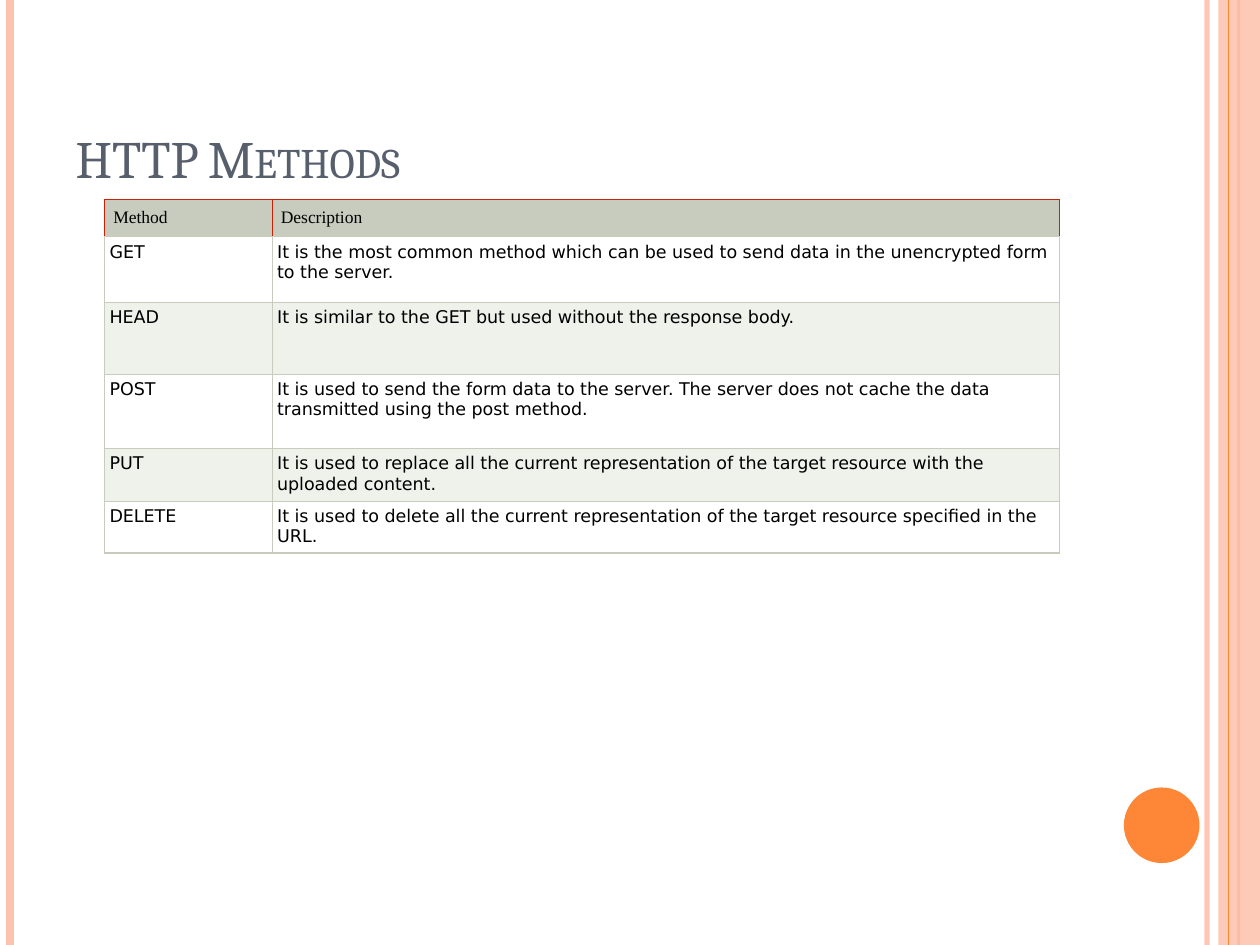
from dataclasses import dataclass

from lxml import etree
from pptx import Presentation
from pptx.dml.color import RGBColor
from pptx.enum.shapes import MSO_CONNECTOR, MSO_SHAPE
from pptx.enum.text import MSO_ANCHOR, MSO_AUTO_SIZE, PP_ALIGN
from pptx.oxml.ns import qn
from pptx.util import Inches, Pt

STRAIGHT = MSO_CONNECTOR.STRAIGHT
RECTANGLE, OVAL = MSO_SHAPE.RECTANGLE, MSO_SHAPE.OVAL
BOTTOM, TOP, LEFT = MSO_ANCHOR.BOTTOM, MSO_ANCHOR.TOP, PP_ALIGN.LEFT
NO_FIT = MSO_AUTO_SIZE.NONE
TITLE_ONLY = 5


@dataclass(frozen=True)
class Theme:
    peach: str = "FEC3AE"
    orange: str = "FE8637"
    slate: str = "575F6D"
    black: str = "000000"
    white: str = "FFFFFF"
    sage: str = "C7CCBE"
    pale_sage: str = "EFF1EB"
    red: str = "D02003"
    title_font: str = "Cambria"
    header_font: str = "Times New Roman"
    body_font: str = "DejaVu Sans"
    title_size: int = 30
    table_size: int = 10


THEME = Theme()
WIDTH, HEIGHT = 10, 7.5
COLUMNS = [1.33, 6.25]
ROWS = [0.3, 0.52, 0.57, 0.59, 0.42, 0.41]
METHODS = [
    ("Method", "Description"),
    ("GET", "It is the most common method which can be used to send data "
            "in the unencrypted form to the server."),
    ("HEAD", "It is similar to the GET but used without the response body."),
    ("POST", "It is used to send the form data to the server. The server does "
             "not cache the data transmitted using the post method."),
    ("PUT", "It is used to replace all the current representation of the "
            "target resource with the uploaded content."),
    ("DELETE", "It is used to delete all the current representation of the "
               "target resource specified in the URL."),
]


def apply(target, values):
    for name, value in values.items():
        setattr(target, name, value)


def set_opacity(shape, percent):
    for color in shape._element.spPr.iter(qn("a:srgbClr")):
        etree.SubElement(color, qn("a:alpha"), val=str(percent * 1000))


def add_stripe(page, x, color, width, opacity=100):
    stripe = page.shapes.add_connector(
        STRAIGHT, Inches(x), Inches(0), Inches(x), Inches(HEIGHT))
    stripe.line.color.rgb = RGBColor.from_string(color)
    stripe.line.width = Pt(width)
    if opacity < 100:
        set_opacity(stripe, opacity)
    etree.SubElement(stripe._element.spPr, qn("a:effectLst"))


def add_block(page, kind, bounds, color, opacity=100):
    block = page.shapes.add_shape(kind, *map(Inches, bounds))
    block.shadow.inherit = False
    block.fill.solid()
    block.fill.fore_color.rgb = RGBColor.from_string(color)
    block.line.fill.background()
    if opacity < 100:
        set_opacity(block, opacity)


def write(frame, text, font, size, color):
    para = frame.paragraphs[0]
    para.alignment = LEFT
    span = para.add_run()
    span.text = text
    apply(span.font, {"name": font, "size": Pt(size), "bold": False})
    span.font.color.rgb = RGBColor.from_string(color)
    return span


def set_title(page, text):
    title = page.shapes.title
    apply(title, {"left": Inches(0.5), "top": Inches(0.3),
                  "width": Inches(8.17), "height": Inches(1.25)})
    apply(title.text_frame, {"vertical_anchor": BOTTOM, "word_wrap": True,
                             "auto_size": NO_FIT})
    span = write(title.text_frame, text, THEME.title_font,
                 THEME.title_size, THEME.slate)
    span._r.get_or_add_rPr().set("cap", "small")


def set_borders(cell, colors):
    properties = cell._tc.get_or_add_tcPr()
    for side, color in zip("LRTB", colors):
        line = etree.SubElement(properties, qn(f"a:ln{side}"),
                                w=str(Pt(0.75)))
        fill = etree.SubElement(line, qn("a:solidFill"))
        etree.SubElement(fill, qn("a:srgbClr"), val=color)


def format_cell(cell, text, row):
    header = row == 0
    edge = THEME.red if header else THEME.sage
    margin = Inches(0.07 if header else 0.04)
    sides = ("left", "right", "top", "bottom")
    apply(cell, {f"margin_{side}": margin for side in sides})
    cell.vertical_anchor = TOP
    set_borders(cell, (edge, edge, edge, THEME.sage))
    band = THEME.white if row % 2 else THEME.pale_sage
    cell.fill.solid()
    cell.fill.fore_color.rgb = RGBColor.from_string(
        THEME.sage if header else band)
    write(cell.text_frame, text,
          THEME.header_font if header else THEME.body_font,
          THEME.table_size, THEME.black)


def add_methods_table(page):
    bounds = (0.83, 1.58, sum(COLUMNS), sum(ROWS))
    table = page.shapes.add_table(
        len(ROWS), len(COLUMNS), *map(Inches, bounds)).table
    apply(table, {"first_row": False, "horz_banding": False})
    for column, width in zip(table.columns, COLUMNS):
        column.width = Inches(width)
    for row, height in zip(table.rows, ROWS):
        row.height = Inches(height)
    for row, texts in enumerate(METHODS):
        for column, text in enumerate(texts):
            format_cell(table.cell(row, column), text, row)


def main():
    deck = Presentation()
    apply(deck, {"slide_width": Inches(WIDTH), "slide_height": Inches(HEIGHT)})
    page = deck.slides.add_slide(deck.slide_layouts[TITLE_ONLY])
    add_stripe(page, 9.58, THEME.peach, 3, 93)
    add_stripe(page, 0.08, THEME.peach, 4.5)
    add_stripe(page, 9.83, THEME.orange, 1.5)
    add_block(page, RECTANGLE, (9.67, 0, 0.33, HEIGHT), THEME.peach, 87)
    add_stripe(page, 9.75, THEME.orange, 0.75)
    add_block(page, OVAL, (8.92, 6.25, 0.6, 0.6), THEME.orange)
    set_title(page, "HTTP Methods")
    add_methods_table(page)
    deck.save("out.pptx")


main()
